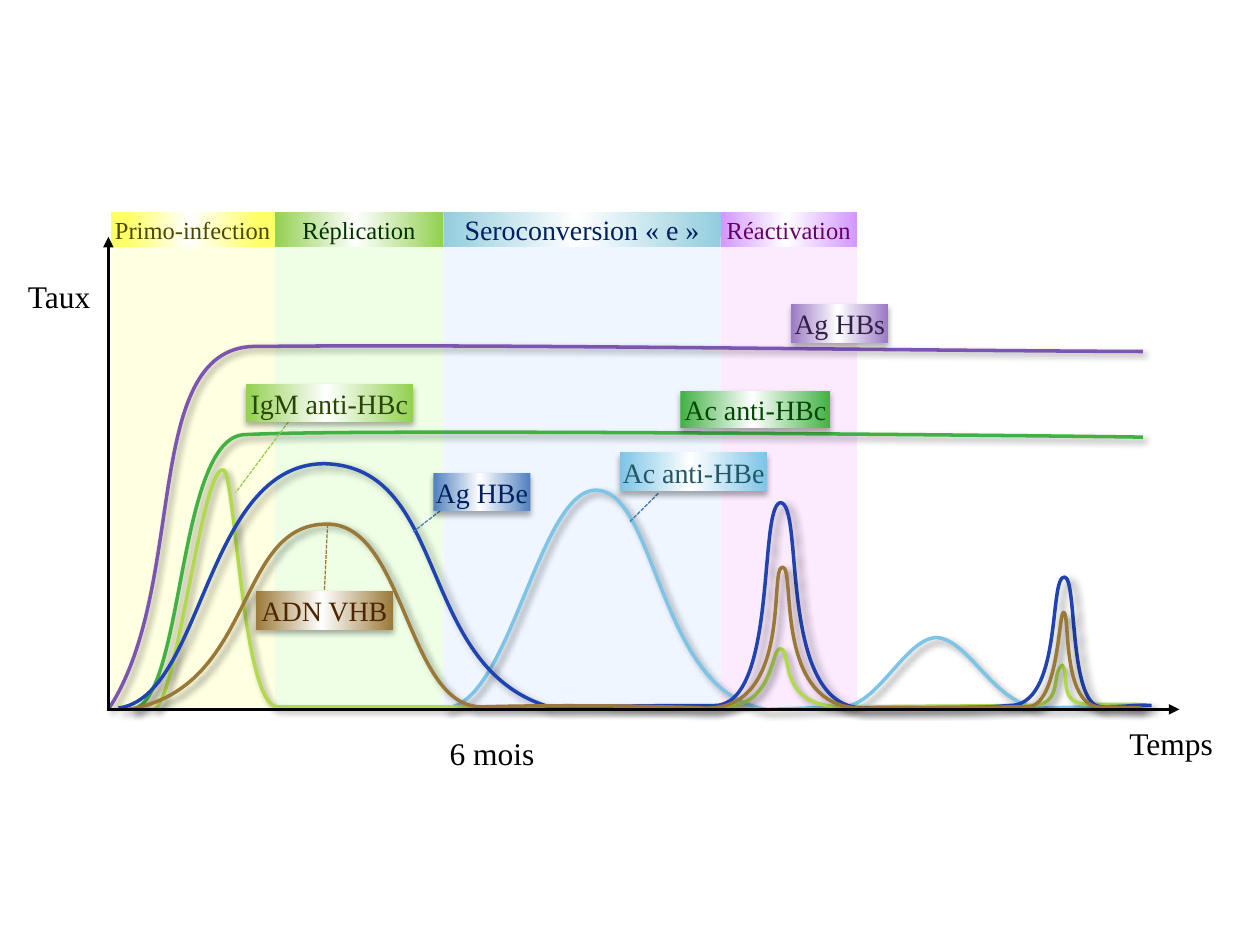
from lxml import etree
from pptx import Presentation
from pptx import util as u
from pptx.dml.color import RGBColor
from pptx.enum import dml, shapes, text
from pptx.oxml.ns import qn

PX = 9144  # EMU per px, 100 px to the inch
FONT = "Times New Roman"
INK = {
    "black": "000000", "white": "FFFFFF", "HBs": "7C54B2", "HBc": "41B144",
    "HBe": "2043B2", "anti-HBe": "7DC4E7", "IgM": "B0D94B", "ADN": "9A7938",
    "lime": "92D050", "steel": "4B7EBC", "blue": "4F81BD", "violet": "9A7AC4",
    "yellow": "FFFF66", "teal": "93CDDD", "pink": "D297FF",
    "pale yellow": "FFFFE1", "pale green": "EEFFE5",
    "pale blue": "EFF6FF", "pale pink": "FCEBFF",
    "olive": "4A4800", "pine": "003300", "navy": "002060", "plum": "660066",
    "forest": "004800", "grape": "312048", "brown": "4C2600",
    "moss": "274701", "petrol": "215968",
}


def rgb(name):
    return RGBColor.from_string(INK[name])


class Chart:
    """Style of the diagram and the slide it is drawn on."""

    def __init__(self, slide):
        self.slide = slide
        self.items = slide.shapes

    def shade(self, shape, alpha, blur, dist, angle):
        fx = shape.element.spPr.find(qn("a:effectLst"))
        shadow = etree.SubElement(
            fx, qn("a:outerShdw"), blurRad=str(u.Pt(blur)), dist=str(u.Pt(dist)),
            dir=str(angle * 60000), algn="t", rotWithShape="0")
        tone = etree.SubElement(shadow, qn("a:srgbClr"), val=INK["black"])
        etree.SubElement(tone, qn("a:alpha"), val=str(alpha * 1000))

    def label_text(self, shape, words, size, ink, inset):
        frame = shape.text_frame
        frame.word_wrap = False
        frame.vertical_anchor = text.MSO_ANCHOR.MIDDLE
        frame.margin_left = frame.margin_right = inset * PX
        frame.margin_top = frame.margin_bottom = inset * PX
        para = frame.paragraphs[0]
        para.text = words
        para.alignment = text.PP_ALIGN.CENTER
        para.font.name = FONT
        para.font.size = u.Pt(size)
        para.font.color.rgb = rgb(ink)

    def rect(self, box, fill):
        shape = self.items.add_shape(shapes.MSO_SHAPE.RECTANGLE, *(v * PX for v in box))
        shape.shadow.inherit = False
        shape.line.fill.background()
        shape.fill.solid()
        shape.fill.fore_color.rgb = rgb(fill)
        return shape

    def sheen(self, box, fill, words, size, ink, inset=0, edge=0):
        """Box that fades from its colour to white and back."""
        shape = self.rect(box, fill)
        shape.fill.gradient()
        shape.fill.gradient_angle = 0
        stops = shape.element.spPr.find(qn("a:gradFill")).find(qn("a:gsLst"))
        for stop in list(stops):
            stops.remove(stop)
        for pos, tone in ((edge, fill), (48, "white"), (100 - edge, fill)):
            stop = etree.SubElement(stops, qn("a:gs"), pos=str(pos * 1000))
            etree.SubElement(stop, qn("a:srgbClr"), val=INK[tone])
        self.label_text(shape, words, size, ink, inset)
        return shape

    def label(self, box, fill, words, ink):
        shape = self.sheen(box, fill, words, 16, ink, inset=2)
        self.shade(shape, 32, 3.5, 2.2, 90)
        return shape

    def note(self, box, words):
        shape = self.items.add_textbox(*(v * PX for v in box))
        self.label_text(shape, words, 18, "black", 8)

    def curve(self, ink, start, *parts):
        """Each part holds two numbers for a line, six for a Bézier curve."""
        points = [p for part in parts for p in zip(part[::2], part[1::2])]
        pen = self.items.build_freeform(*start, scale=float(PX))
        pen.add_line_segments(points, close=False)
        shape = pen.convert_to_shape()
        # Join three segments into one curve
        steps = iter(list(shape.element.iter(qn("a:lnTo"))))
        for part in parts:
            step = next(steps)
            if len(part) == 6:
                bend = etree.Element(qn("a:cubicBezTo"))
                step.addprevious(bend)
                for old in (step, next(steps), next(steps)):
                    bend.append(old[0])
                    old.getparent().remove(old)
        shape.fill.background()
        shape.line.color.rgb = rgb(ink)
        shape.line.width = u.Pt(2)
        shape.shadow.inherit = False
        self.shade(shape, 40, 4, 3, 45)

    def line(self, ends, ink, width):
        link = self.items.add_connector(
            shapes.MSO_CONNECTOR.STRAIGHT, *(v * PX for v in ends))
        link.line.color.rgb = rgb(ink)
        link.line.width = u.Pt(width)
        etree.SubElement(link.element.spPr, qn("a:effectLst"))
        return link

    def lead(self, ends, ink):
        link = self.line(ends, ink, 0.75)
        link.line.dash_style = dml.MSO_LINE.SQUARE_DOT
        return link

    def axis(self, ends):
        link = self.line(ends, "black", 2)
        stroke = link.element.spPr.find(qn("a:ln"))
        etree.SubElement(stroke, qn("a:headEnd"), type="triangle")


def main():
    deck = Presentation()
    deck.slide_width, deck.slide_height = 1000 * PX, 750 * PX
    art = Chart(deck.slides.add_slide(deck.slide_layouts[6]))

    # Phases of the infection
    left = 88
    for width, pale, fill, words, size, ink, edge in (
        (130, "pale yellow", "yellow", "Primo-infection", 14, "olive", 10),
        (134, "pale green", "lime", "Réplication", 14, "pine", 0),
        (220, "pale blue", "teal", "Seroconversion « e »", 16, "navy", 0),
        (108, "pale pink", "pink", "Réactivation", 14, "plum", 0),
    ):
        art.rect((left, 188, width, 373), pale)
        art.sheen((left, 168, width, 28), fill, words, size, ink, edge=edge)
        left += width

    # Marker curves
    art.curve("anti-HBe", (352, 562), (404, 563, 427, 389, 473, 389),
              (522, 390, 522, 551, 609, 563), (641, 562, 635, 562, 667, 561),
              (696, 562, 718, 507, 743, 506), (769, 507, 789, 560, 826, 562),
              (856, 561, 890, 561, 911, 560))
    art.curve("HBs", (86, 563), (151, 465, 110, 271, 206, 275),
              (386, 273, 685, 278, 907, 279))
    art.curve("HBc", (105, 563), (147, 556, 140, 345, 195, 345),
              (286, 340, 845, 346, 907, 347))
    art.curve("IgM", (122, 563), (140, 560, 160, 371, 177, 373),
              (187, 372, 192, 559, 220, 561), (576, 561),
              (614, 559, 612, 516, 619, 515), (630, 514, 614, 562, 671, 561),
              (813, 560), (846, 562, 833, 536, 843, 528),
              (850, 536, 838, 560, 866, 559), (905, 559))
    art.curve("HBe", (94, 562), (162, 553, 162, 369, 257, 368),
              (358, 370, 329, 529, 436, 561), (489, 561, 487, 560, 567, 560),
              (617, 560, 602, 404, 619, 399), (639, 397, 616, 561, 685, 562),
              (703, 561, 771, 563, 800, 560), (844, 562, 832, 456, 845, 458),
              (855, 459, 848, 560, 874, 561), (896, 561, 902, 559, 914, 560))
    art.curve("ADN", (102, 563), (204, 546, 186, 415, 260, 416),
              (322, 416, 323, 564, 384, 561), (451, 559, 545, 561, 558, 562),
              (630, 565, 610, 451, 621, 450), (632, 450, 613, 561, 683, 562),
              (813, 561), (840, 565, 840, 488, 844, 486),
              (850, 485, 841, 567, 878, 561), (906, 562))

    # Leaders and marker names
    art.lead((234, 328, 187, 391), "lime")
    art.lead((359, 398, 328, 422), "steel")
    art.lead((500, 414, 523, 391), "steel")
    art.label((540, 310, 119, 30), "HBc", "Ac anti-HBc", "forest")
    art.label((628, 241, 77, 31), "violet", "Ag HBs", "grape")
    art.label((344, 375, 77, 31), "blue", "Ag HBe", "navy")
    art.label((195, 305, 133, 30), "lime", "IgM anti-HBc", "moss")
    art.label((492, 359, 117, 31), "anti-HBe", "Ac anti-HBe", "petrol")
    dna = art.label((203, 469, 109, 31), "ADN", "ADN VHB", "brown")
    art.lead((260, 416, 258, 469), "ADN").end_connect(dna, 0)

    # Axes and their names
    art.axis((86, 188, 86, 562))
    art.axis((936, 563, 85, 563))
    art.note((875, 570, 109, 39), "Temps")
    art.note((0, 215, 94, 39), "Taux")
    art.note((336, 578, 109, 39), "6 mois")

    deck.save("out.pptx")


if __name__ == "__main__":
    main()
